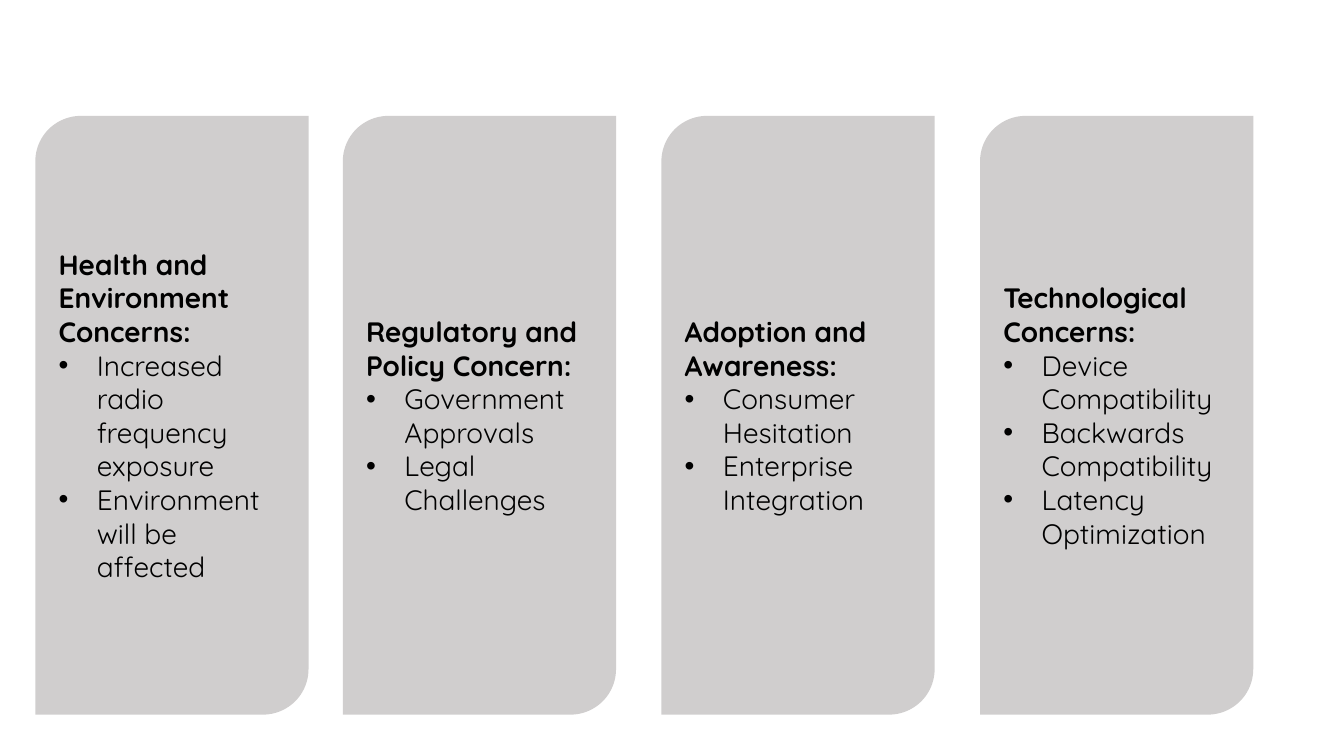
from lxml import etree
from pptx import Presentation
from pptx.dml.color import RGBColor
from pptx.enum.shapes import MSO_SHAPE
from pptx.enum.text import MSO_ANCHOR, PP_ALIGN
from pptx.oxml.ns import qn
from pptx.util import Inches, Pt

CARD_SHAPE = MSO_SHAPE.ROUND_2_DIAG_RECTANGLE
MIDDLE = MSO_ANCHOR.MIDDLE
LEFT = PP_ALIGN.LEFT

CARD_GREY = RGBColor(0xD0, 0xCE, 0xCE)
BLACK = RGBColor(0x00, 0x00, 0x00)

GRID_LEFT, COLUMN_PITCH = 0.24, 3.16
CARD_TOP, CARD_WIDTH, CARD_HEIGHT = 1.15, 2.71, 5.94
BULLET_INDENT = 0.38

# Heading, bullet points, and shift from the grid column in inches
CONCERNS = [
    ("Health and Environment Concerns:",
     ["Increased radio frequency exposure", "Environment will be affected"], 0.11),
    ("Regulatory and Policy Concern:",
     ["Government Approvals", "Legal Challenges"], 0),
    ("Adoption and Awareness:",
     ["Consumer Hesitation", "Enterprise Integration"], 0),
    ("Technological Concerns:",
     ["Device Compatibility", "Backwards Compatibility", "Latency Optimization"], 0),
]


class ConcernSlide:
    font_name = "Quicksand"
    font_size = Pt(20)

    def __init__(self, presentation):
        self.slide = presentation.slides.add_slide(presentation.slide_layouts[6])

    def card(self, column, heading, points, shift):
        left = GRID_LEFT + column * COLUMN_PITCH + shift
        card = self.slide.shapes.add_shape(
            CARD_SHAPE, Inches(left), Inches(CARD_TOP),
            Inches(CARD_WIDTH), Inches(CARD_HEIGHT))
        card.shadow.inherit = False
        card.fill.solid()
        card.fill.fore_color.rgb = CARD_GREY
        card.line.fill.background()

        frame = card.text_frame
        frame.word_wrap = True
        frame.vertical_anchor = MIDDLE
        frame.text = "\n".join([heading, *points])
        title, *bullets = frame.paragraphs
        self.style(title, bold=True)
        for bullet in bullets:
            self.add_bullet(bullet)
            self.style(bullet, bold=False)

    def add_bullet(self, paragraph):
        properties = paragraph._p.get_or_add_pPr()
        properties.set("marL", str(Inches(BULLET_INDENT)))
        properties.set("indent", str(-Inches(BULLET_INDENT)))
        etree.SubElement(properties, qn("a:buFont")).set("typeface", "Arial")
        etree.SubElement(properties, qn("a:buChar")).set("char", "•")

    def style(self, paragraph, bold):
        paragraph.alignment = LEFT
        for run in paragraph.runs:
            run.font.name = self.font_name
            run.font.size = self.font_size
            run.font.bold = bold
            run.font.color.rgb = BLACK


def main():
    presentation = Presentation()
    presentation.slide_width = Inches(13.33)
    presentation.slide_height = Inches(7.5)
    concerns = ConcernSlide(presentation)
    for column, (heading, points, shift) in enumerate(CONCERNS):
        concerns.card(column, heading, points, shift)
    presentation.save("out.pptx")


if __name__ == "__main__":
    main()
